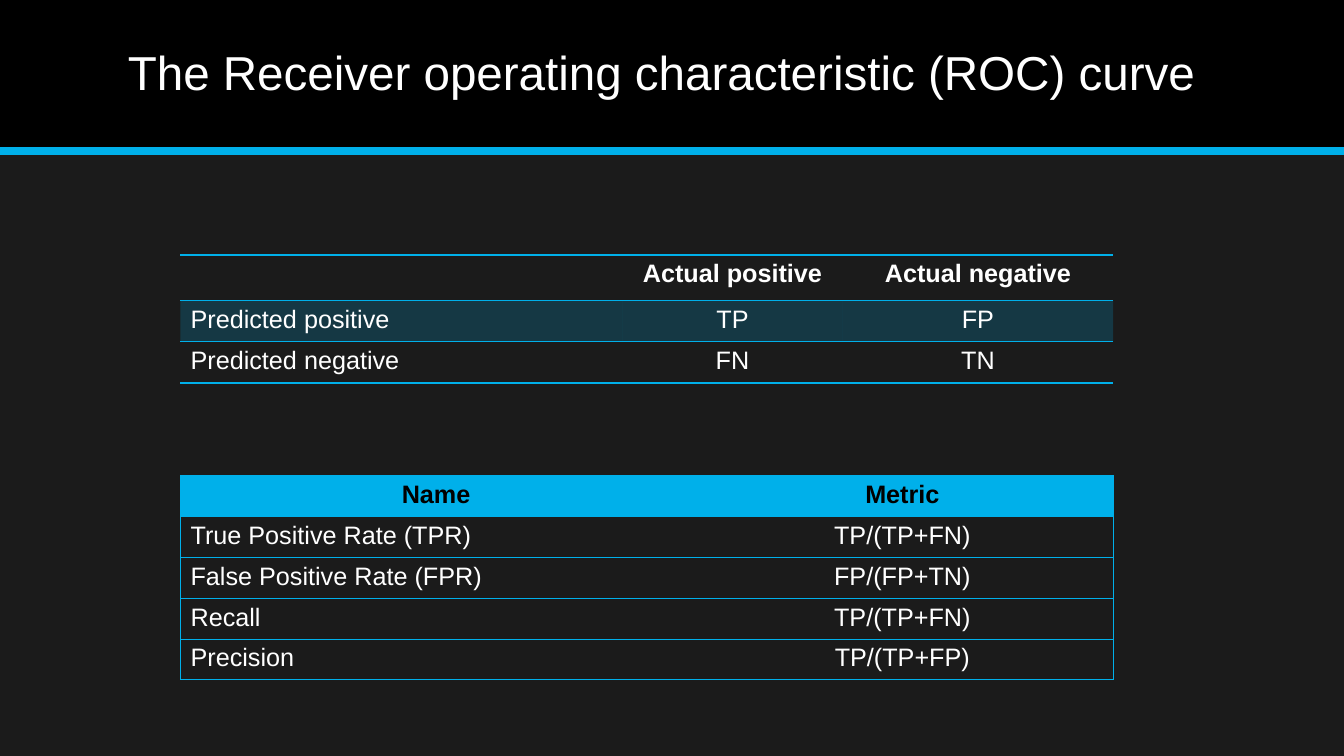
from dataclasses import dataclass

from lxml.etree import SubElement
from pptx import Presentation
from pptx.dml.color import RGBColor
from pptx.enum.shapes import MSO_CONNECTOR, MSO_SHAPE
from pptx.enum.text import MSO_ANCHOR, PP_ALIGN
from pptx.oxml import parse_xml
from pptx.oxml.ns import nsdecls, qn
from pptx.util import Inches, Pt


@dataclass(frozen=True)
class Theme:
    font: str = "Arial"
    background: str = "1B1B1B"
    band: str = "000000"
    accent: str = "00B0EA"
    text: str = "FFFFFF"
    header_text: str = "000000"
    title_size: float = 34
    table_size: float = 18
    stripe_alpha: int = 20
    rule_width: float = 6
    plain_table: str = "{2D5ABB26-0587-4C30-8999-92F81FD0307C}"


THEME = Theme()
SLIDE_WIDTH, SLIDE_HEIGHT = 13.33, 7.5

CONFUSION_ROWS = [
    ["", "Actual positive", "Actual negative"],
    ["Predicted positive", "TP", "FP"],
    ["Predicted negative", "FN", "TN"],
]
METRIC_ROWS = [
    ["Name", "Metric"],
    ["True Positive Rate (TPR)", "TP/(TP+FN)"],
    ["False Positive Rate (FPR)", "FP/(FP+TN)"],
    ["Recall", "TP/(TP+FN)"],
    ["Precision", "TP/(TP+FP)"],
]


def rgb(color):
    return RGBColor.from_string(color)


def style_paragraph(paragraph, size, color, bold=False):
    font = paragraph.font
    font.name, font.size, font.bold = THEME.font, Pt(size), bold
    font.color.rgb = rgb(color)


def fill_cell(cell, color, alpha=100):
    cell.fill.solid()
    cell.fill.fore_color.rgb = rgb(color)
    if alpha < 100:
        tint = cell._tc.tcPr.find(".//" + qn("a:srgbClr"))
        SubElement(tint, qn("a:alpha"), val=str(alpha * 1000))


def set_borders(cell, sides, width):
    properties = cell._tc.get_or_add_tcPr()
    for position, side in enumerate(s for s in "LRTB" if s in sides):
        properties.insert(position, parse_xml(
            f'<a:ln{side} {nsdecls("a")} w="{Pt(width)}"><a:solidFill>'
            f'<a:srgbClr val="{THEME.accent}"/></a:solidFill></a:ln{side}>'))


def add_heading(slide, title, left, top, width, height):
    band = slide.shapes.add_shape(
        MSO_SHAPE.RECTANGLE, Inches(left), Inches(top), Inches(width), Inches(height))
    band.shadow.inherit = False
    band.fill.solid()
    band.fill.fore_color.rgb = rgb(THEME.band)
    band.line.fill.background()

    bottom = Inches(top + height)
    rule = slide.shapes.add_connector(
        MSO_CONNECTOR.STRAIGHT, Inches(left), bottom, Inches(left + width), bottom)
    rule.line.color.rgb = rgb(THEME.accent)
    rule.line.width = Pt(THEME.rule_width)
    SubElement(rule._element.spPr, qn("a:effectLst"))

    heading = slide.shapes.add_textbox(
        Inches(left + 1.17), Inches(top + 0.14), Inches(11), Inches(height - 0.3))
    frame = heading.text_frame
    frame.word_wrap = True
    frame.vertical_anchor = MSO_ANCHOR.MIDDLE
    frame.text = title
    frame.paragraphs[0].line_spacing = 0.9
    style_paragraph(frame.paragraphs[0], THEME.title_size, THEME.text)


def add_grid(slide, rows, left, top, column_widths, row_heights, header_color):
    grid = slide.shapes.add_table(
        len(rows), len(column_widths), Inches(left), Inches(top),
        Inches(sum(column_widths)), Inches(sum(row_heights))).table
    grid._tbl.tblPr.find(qn("a:tableStyleId")).text = THEME.plain_table
    grid.horz_banding = False
    for column, width in zip(grid.columns, column_widths):
        column.width = Inches(width)
    for row, height in zip(grid.rows, row_heights):
        row.height = Inches(height)
    for r, texts in enumerate(rows):
        for c, text in enumerate(texts):
            cell = grid.cell(r, c)
            cell.text = text
            paragraph = cell.text_frame.paragraphs[0]
            is_header = r == 0
            style_paragraph(paragraph, THEME.table_size,
                            header_color if is_header else THEME.text, is_header)
            if is_header or c > 0:
                paragraph.alignment = PP_ALIGN.CENTER
    return grid


def add_confusion_matrix(slide, left, top):
    matrix = add_grid(slide, CONFUSION_ROWS, left, top,
                      [4.38, 2.19, 2.68], [0.45, 0.41, 0.41], THEME.text)
    for r, sides in enumerate(["TB", "T", "B"]):
        for cell in matrix.rows[r].cells:
            if r == 1:
                fill_cell(cell, THEME.accent, THEME.stripe_alpha)
            set_borders(cell, sides, 1)


def add_metrics(slide, left, top):
    metrics = add_grid(slide, METRIC_ROWS, left, top,
                       [5.07, 4.18], [0.405] * len(METRIC_ROWS), THEME.header_text)
    for r, row in enumerate(metrics.rows):
        for cell, outer_side in zip(row.cells, "LR"):
            if r == 0:
                fill_cell(cell, THEME.accent)
            set_borders(cell, "TB" + outer_side, 0.5)


def main():
    presentation = Presentation()
    presentation.slide_width = Inches(SLIDE_WIDTH)
    presentation.slide_height = Inches(SLIDE_HEIGHT)
    slide = presentation.slides.add_slide(presentation.slide_layouts[6])
    slide.background.fill.solid()
    slide.background.fill.fore_color.rgb = rgb(THEME.background)

    add_heading(slide, "The Receiver operating characteristic (ROC) curve",
                0, 0, SLIDE_WIDTH, 1.5)
    add_confusion_matrix(slide, 1.79, 2.53)
    add_metrics(slide, 1.79, 4.72)
    presentation.save("out.pptx")


if __name__ == "__main__":
    main()
